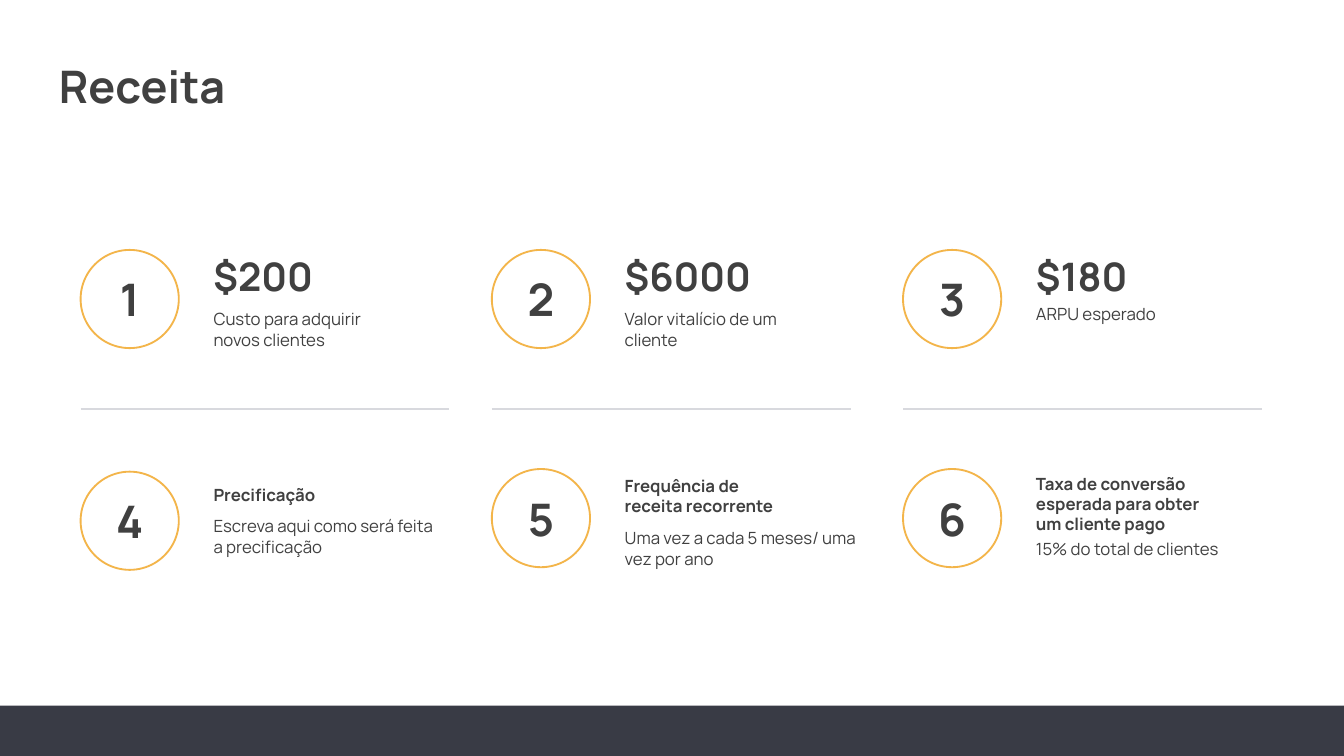
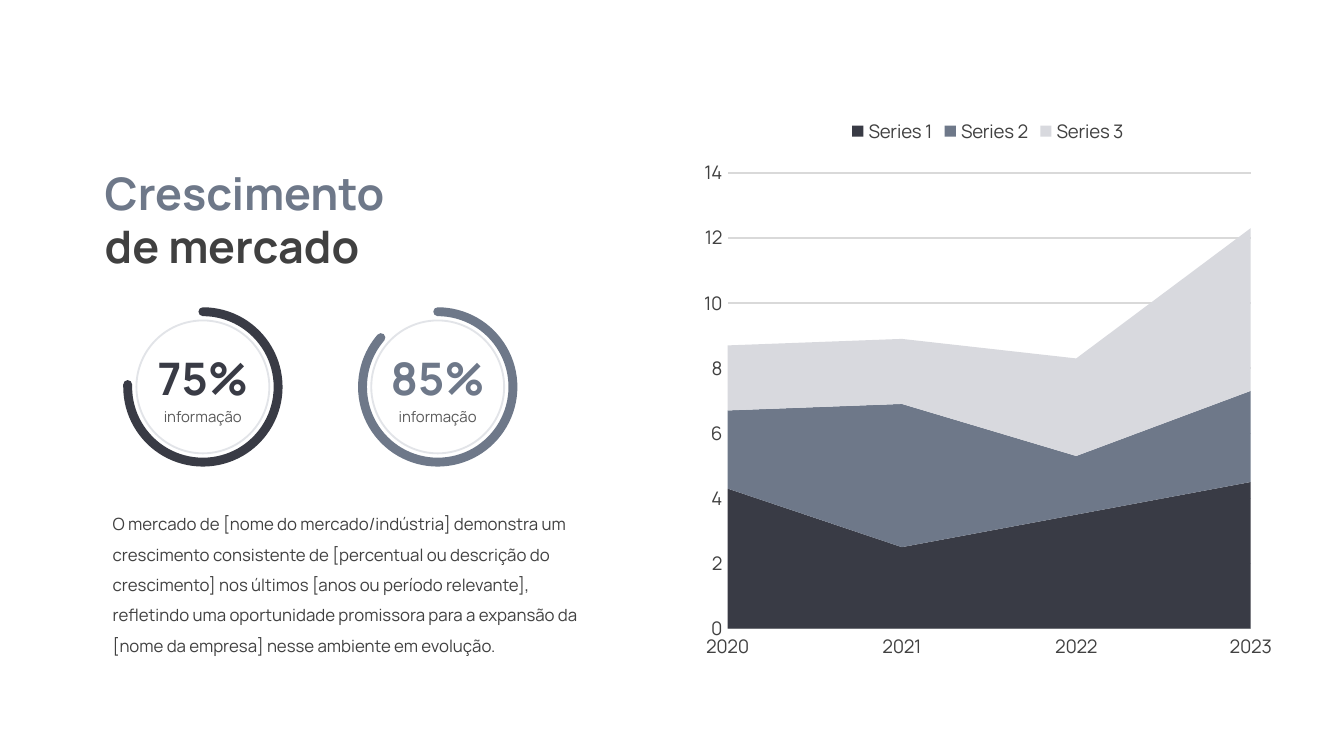
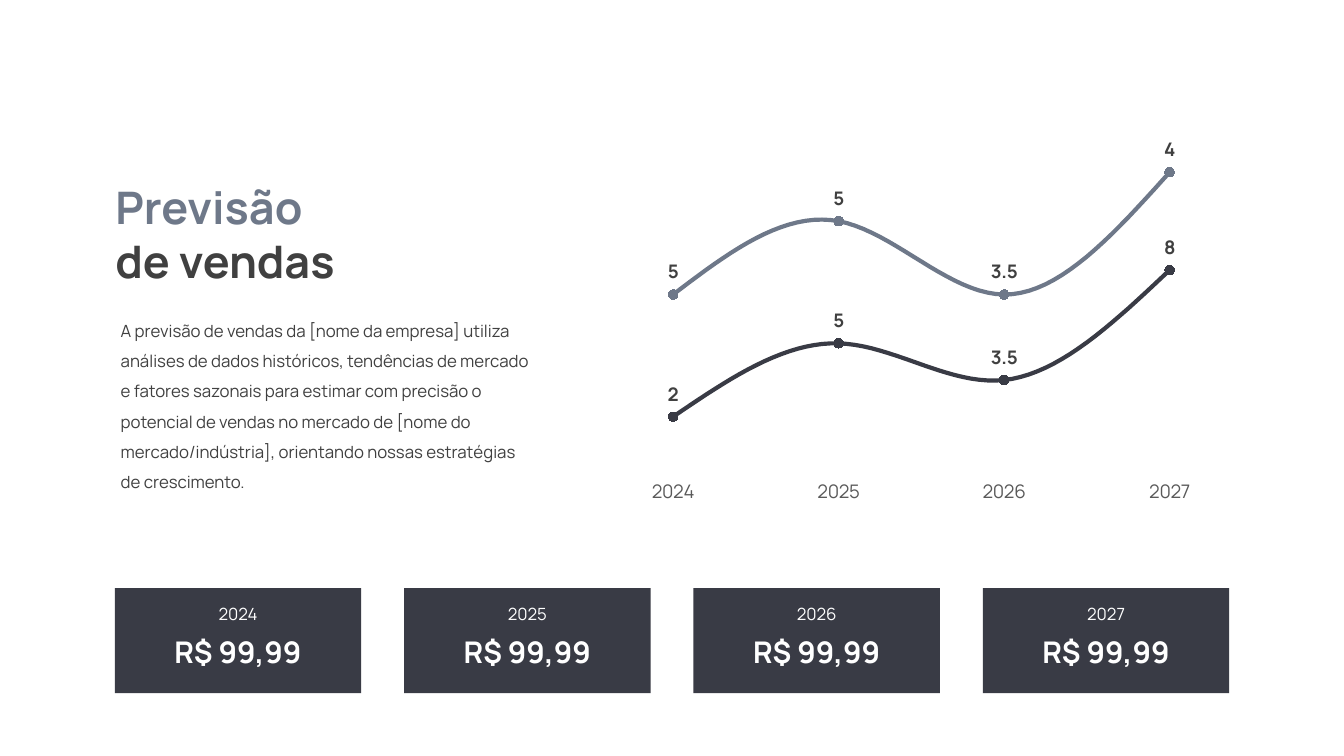
from lxml.etree import SubElement
from pptx import Presentation
from pptx.chart.data import CategoryChartData
from pptx.dml.color import RGBColor
from pptx.enum.chart import (XL_CHART_TYPE, XL_LABEL_POSITION, XL_LEGEND_POSITION,
                             XL_MARKER_STYLE, XL_TICK_LABEL_POSITION, XL_TICK_MARK)
from pptx.enum.shapes import MSO_CONNECTOR, MSO_SHAPE
from pptx.enum.text import MSO_ANCHOR, MSO_AUTO_SIZE, PP_ALIGN
from pptx.oxml.ns import qn
from pptx.util import Pt

FONT = "Manrope"
INK = RGBColor(0x40, 0x40, 0x40)
GREY = RGBColor(0x59, 0x59, 0x59)
NAVY = RGBColor(0x39, 0x3B, 0x45)
SLATE = RGBColor(0x6E, 0x78, 0x89)
MIST = RGBColor(0xD8, 0xD9, 0xDE)
RING = RGBColor(0xE2, 0xE4, 0xE8)
GRID = RGBColor(0xD9, 0xD9, 0xD9)
AMBER = RGBColor(0xF3, 0xB5, 0x4A)
WHITE = RGBColor(0xFF, 0xFF, 0xFF)
BLACK = RGBColor(0, 0, 0)

WIDTH, HEIGHT = 720, 405

# Each metric: circle top, then heading and note as (lines, top, width, height)
METRICS = [
    (133.9, (["$200"], 131.8, 88.6, 32.4),
     (["Custo para adquirir novos clientes"], 162, 111.6, 28.8)),
    (133.9, (["$6000"], 131.8, 88.6, 32.4),
     (["Valor vitalício de um cliente"], 162, 100.1, 28.8)),
    (133.9, (["$180"], 131.8, 88.6, 32.4),
     (["ARPU esperado"], 159.1, 112.3, 18)),
    (252.7, (["Precificação"], 256.3, 79.9, 18),
     (["Escreva aqui como será feita a precificação"], 272.9, 133.2, 28.8)),
    (251.3, (["Frequência de", "receita recorrente"], 251.3, 128.2, 28.8),
     (["Uma vez a cada 5 meses/ uma vez por ano"], 279.4, 144.7, 28.8)),
    (251.3, (["Taxa de conversão esperada para obter um cliente pago"], 249.8, 113, 40.3),
     (["15% do total de clientes"], 285.1, 128.9, 18)),
]
RULE_WIDTHS = [197.3, 192.2, 192.2]

GAUGES = [("75%", NAVY, 109.1), ("85%", SLATE, 132.6)]
MARKET_TEXT = (
    "O mercado de [nome do mercado/indústria] demonstra um crescimento consistente de "
    "[percentual ou descrição do crescimento] nos últimos [anos ou período relevante], "
    "refletindo uma oportunidade promissora para a expansão da [nome da empresa] nesse "
    "ambiente em evolução.")
MARKET_YEARS = ["2020", "2021", "2022", "2023"]
MARKET_SERIES = [("Series 1", [4.3, 2.5, 3.5, 4.5], NAVY),
                 ("Series 2", [2.4, 4.4, 1.8, 2.8], SLATE),
                 ("Series 3", [2, 2, 3, 5], MIST)]

SALES_TEXT = (
    "A previsão de vendas da [nome da empresa] utiliza análises de dados históricos, "
    "tendências de mercado e fatores sazonais para estimar com precisão o potencial de "
    "vendas no mercado de [nome do mercado/indústria], orientando nossas estratégias de "
    "crescimento.")
SALES_YEARS = ["2024", "2025", "2026", "2027"]
SALES_SERIES = [("Series 1", [2, 5, 3.5, 8], NAVY),
                ("Series 2", [5, 5, 3.5, 4], SLATE)]
SALES_PRICE = "R$ 99,99"


def points(box):
    return [Pt(length) for length in box]


def style(font, size, color, bold=False):
    font.name, font.size, font.bold = FONT, Pt(size), bold
    font.color.rgb = color


def write(frame, lines, size=9, color=INK, colors=None, bold=False,
          align=PP_ALIGN.LEFT, anchor=MSO_ANCHOR.TOP, spacing=None):
    """Fill a text frame, one paragraph a line; colors overrides color by line."""
    frame.word_wrap = True
    frame.vertical_anchor = anchor
    for index, line in enumerate(lines):
        paragraph = frame.add_paragraph() if index else frame.paragraphs[0]
        paragraph.alignment = align
        if spacing:
            paragraph.line_spacing = spacing
        run = paragraph.add_run()
        run.text = line
        style(run.font, size, colors[index] if colors else color, bold)


def add_text(shapes, lines, box, **text_format):
    frame = shapes.add_textbox(*points(box)).text_frame
    write(frame, lines, **text_format)
    frame.auto_size = MSO_AUTO_SIZE.SHAPE_TO_FIT_TEXT


def add_figure(shapes, kind, box, fill=None, line=None, weight=1):
    figure = shapes.add_shape(kind, *points(box))
    figure.shadow.inherit = False
    if fill is None:
        figure.fill.background()
    else:
        figure.fill.solid()
        figure.fill.fore_color.rgb = fill
    if line is None:
        figure.line.fill.background()
    else:
        figure.line.color.rgb = line
        figure.line.width = Pt(weight)
    return figure


def add_rule(shapes, left, top, width):
    rule = shapes.add_connector(MSO_CONNECTOR.STRAIGHT,
                                *points((left, top, left + width, top)))
    rule.line.color.rgb = MIST
    rule.line.width = Pt(1)
    SubElement(rule._element.spPr, qn("a:effectLst"))


def add_two_tone_title(shapes, lines, box):
    add_text(shapes, lines, box, size=24, bold=True, colors=[SLATE, INK])


def add_chart(shapes, kind, box, years, series, color):
    data = CategoryChartData(number_format="General")
    data.categories = years
    for name, values, _ in series:
        data.add_series(name, values)
    chart = shapes.add_chart(kind, *points(box), data).chart
    style(chart.font, 10, color)
    chart.has_title = False
    chart.has_legend = False
    for axis in (chart.category_axis, chart.value_axis):
        axis.major_tick_mark = axis.minor_tick_mark = XL_TICK_MARK.NONE
    return chart


def set_gridlines(axis, color):
    axis.has_major_gridlines = True
    axis.major_gridlines.format.line.color.rgb = color
    axis.major_gridlines.format.line.width = Pt(0.75)


def build_revenue(shapes):
    first_left, pitch, diameter, text_shift = 43.2, 220.3, 52.6, 64.1
    for index, (circle_top, heading, note) in enumerate(METRICS):
        left = first_left + index % 3 * pitch
        circle = add_figure(shapes, MSO_SHAPE.OVAL, (left, circle_top, diameter, diameter),
                            fill=WHITE, line=AMBER)
        write(circle.text_frame, [str(index + 1)], size=24, bold=True,
              align=PP_ALIGN.CENTER, anchor=MSO_ANCHOR.MIDDLE)
        heading_size = 21 if index < 3 else 9
        for (lines, *box), size, bold in ((heading, heading_size, True), (note, 9, False)):
            add_text(shapes, lines, (left + text_shift, *box), size=size, bold=bold,
                     anchor=MSO_ANCHOR.MIDDLE)
    for column, width in enumerate(RULE_WIDTHS):
        add_rule(shapes, first_left + column * pitch, 219.3, width)
    add_figure(shapes, MSO_SHAPE.RECTANGLE, (0, 378, WIDTH, HEIGHT - 378), fill=NAVY)
    add_text(shapes, ["Receita"], (24.5, 28.1, 241.2, 36), size=24, bold=True,
             anchor=MSO_ANCHOR.MIDDLE)


def build_market(shapes):
    for index, (share, color, arc_end) in enumerate(GAUGES):
        left = 68.4 + index * 125.8
        gauge = shapes.add_group_shape().shapes
        arc = add_figure(gauge, MSO_SHAPE.ARC, (left, 167, 80.6, 80.6),
                         line=color, weight=4.75)
        arc.adjustments[0], arc.adjustments[1] = 162, arc_end
        arc.line._ln.set("cap", "rnd")
        add_figure(gauge, MSO_SHAPE.OVAL, (left + 4.7, 171.7, 71.2, 71.2), line=RING)
        add_text(shapes, [share], (left + 4.7, 184.3, 71.2, 36), size=24, color=color,
                 bold=True, align=PP_ALIGN.CENTER)
        add_text(shapes, ["informação"], (left + 2, 210.2, 76.6, 20.2), size=8, color=GREY,
                 align=PP_ALIGN.CENTER, spacing=1.5)

    chart = add_chart(shapes, XL_CHART_TYPE.AREA_STACKED, (370.8, 55.4, 316.8, 303.8),
                      MARKET_YEARS, MARKET_SERIES, INK)
    chart.has_legend = True
    chart.legend.position = XL_LEGEND_POSITION.TOP
    chart.legend.include_in_layout = False
    style(chart.legend.font, 10, INK)
    chart.category_axis.format.line.color.rgb = GRID
    chart.category_axis.format.line.width = Pt(0.75)
    chart.value_axis.format.line.fill.background()
    set_gridlines(chart.value_axis, GRID)
    for axis in (chart.category_axis, chart.value_axis):
        style(axis.tick_labels.font, 10, INK)
    plot = chart.plots[0]
    plot.vary_by_categories = False
    for area, (_, _, color) in zip(plot.series, MARKET_SERIES):
        area.format.fill.solid()
        area.format.fill.fore_color.rgb = color

    add_two_tone_title(shapes, ["Crescimento", "de mercado"], (49, 85, 293.8, 65.5))
    add_text(shapes, [MARKET_TEXT], (53.3, 266.4, 279.4, 87.8), spacing=1.5)


def build_sales(shapes):
    chart = add_chart(shapes, XL_CHART_TYPE.LINE_MARKERS_STACKED,
                      (308.9, 61.9, 369.4, 212.4), SALES_YEARS, SALES_SERIES, BLACK)
    years = chart.category_axis
    years.format.line.fill.background()
    years.tick_label_position = XL_TICK_LABEL_POSITION.LOW
    style(years.tick_labels.font, 10, GREY)
    for axis in (years, chart.value_axis):
        set_gridlines(axis, WHITE)
    chart.value_axis.visible = False
    plot = chart.plots[0]
    plot.vary_by_categories = False
    for curve, (_, _, color) in zip(plot.series, SALES_SERIES):
        curve.smooth = True
        curve.format.line.color.rgb = color
        curve.format.line.width = Pt(2.25)
        curve.marker.style = XL_MARKER_STYLE.CIRCLE
        curve.marker.size = 5
        curve.marker.format.fill.solid()
        curve.marker.format.fill.fore_color.rgb = WHITE
        curve.marker.format.line.color.rgb = color
        labels = curve.data_labels
        labels.show_value = True
        labels.position = XL_LABEL_POSITION.ABOVE
        style(labels.font, 10, INK, bold=True)

    add_text(shapes, [SALES_TEXT], (57.6, 162.7, 235.4, 103.7), spacing=1.5)
    add_two_tone_title(shapes, ["Previsão", "de vendas"], (54.7, 92.9, 198.7, 65.5))

    for index, year in enumerate(SALES_YEARS):
        left = 61.5 + index * 155
        card = shapes.add_group_shape().shapes
        add_figure(card, MSO_SHAPE.RECTANGLE, (left, 315.1, 132, 56.3), fill=NAVY)
        for line, top, height, size in ((year, 319.7, 18, 9), (SALES_PRICE, 336.2, 26.6, 16)):
            add_text(card, [line], (left + 6.6, top, 118.8, height), size=size,
                     color=WHITE, bold=line == SALES_PRICE, align=PP_ALIGN.CENTER)


def main():
    deck = Presentation()
    deck.slide_width, deck.slide_height = Pt(WIDTH), Pt(HEIGHT)
    for build in (build_revenue, build_market, build_sales):
        slide = deck.slides.add_slide(deck.slide_layouts[6])
        slide.background.fill.solid()
        slide.background.fill.fore_color.rgb = WHITE
        build(slide.shapes)
    deck.save("out.pptx")


if __name__ == "__main__":
    main()
